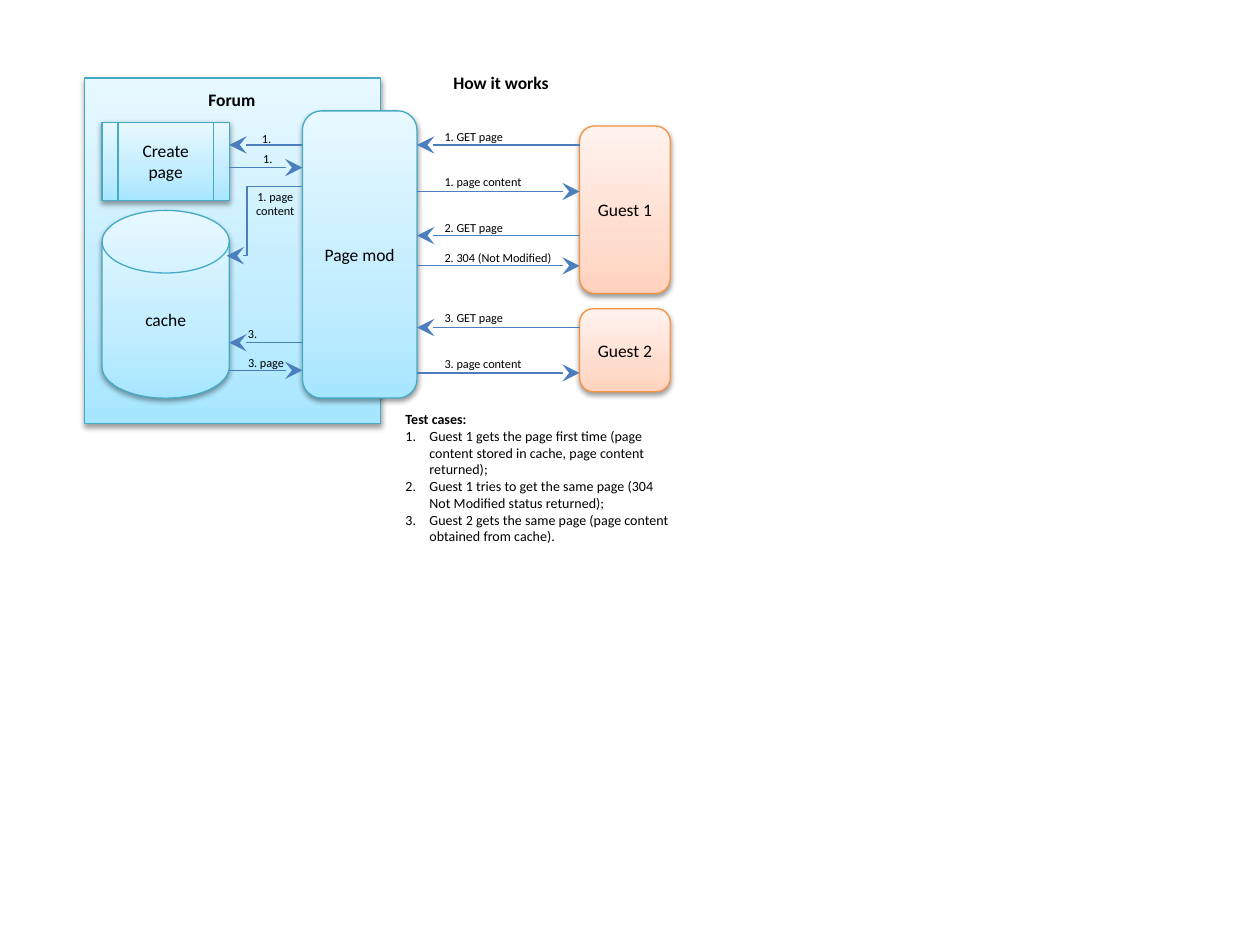
from copy import deepcopy
from dataclasses import dataclass

from lxml import etree
from pptx import Presentation
from pptx.dml.color import RGBColor
from pptx.enum import shapes as kinds, text as txt
from pptx.oxml.ns import qn
from pptx.util import Inches, Pt


@dataclass(frozen=True)
class Theme:
    font: str = "Calibri"
    ink: str = "000000"
    arrow: str = "4B7EBC"
    blue: tuple = ("46AAC5", "A7E6FF", "C1EDFF", "E7F8FF")
    orange: tuple = ("F69240", "FFD2BD", "FFDED0", "FFF2ED")
    stops: tuple = (0, 0.35, 1)
    line: float = 0.75
    title: int = 10
    body: int = 8
    label: int = 7


THEME = Theme()
SHAPE = kinds.MSO_SHAPE
CENTER, LEFT = txt.PP_ALIGN.CENTER, txt.PP_ALIGN.LEFT


def add_xml(parent, tag, **attributes):
    return etree.SubElement(parent, qn(tag), attributes)


def style_paragraph(paragraph, size, align, bold=False):
    paragraph.alignment = align
    font = paragraph.font
    font.name, font.size, font.bold = THEME.font, Pt(size), bold
    font.color.rgb = RGBColor.from_string(THEME.ink)


def add_node(slide, kind, box, palette, caption=""):
    """Shape with an upward gradient, a soft shadow and a centred caption."""
    node = slide.shapes.add_shape(kind, *map(Inches, box))
    edge, *tints = palette
    node.fill.gradient()
    node.fill.gradient_angle = 90
    properties = node._element.spPr
    stop_list = properties.find(".//" + qn("a:gsLst"))
    stop_list.append(deepcopy(stop_list[0]))
    for stop, position, tint in zip(node.fill.gradient_stops, THEME.stops, tints):
        stop.position = position
        stop.color.rgb = RGBColor.from_string(tint)
    node.line.color.rgb = RGBColor.from_string(edge)
    node.line.width = Pt(THEME.line)

    node.shadow.inherit = False
    shadow = add_xml(properties.find(qn("a:effectLst")), "a:outerShdw",
                     blurRad=str(Pt(3.1)), dist=str(Pt(1.6)),
                     dir="5400000", rotWithShape="0")
    add_xml(add_xml(shadow, "a:srgbClr", val="000000"), "a:alpha", val="38000")

    frame = node.text_frame
    frame.vertical_anchor = txt.MSO_ANCHOR.MIDDLE
    frame.text = caption
    style_paragraph(frame.paragraphs[0], THEME.title, CENTER)


def add_text(slide, box, lines, size, align=LEFT, bold=False):
    holder = slide.shapes.add_textbox(*map(Inches, box))
    frame = holder.text_frame
    frame.word_wrap = True
    frame.auto_size = txt.MSO_AUTO_SIZE.SHAPE_TO_FIT_TEXT
    frame.text = "\n".join(lines)
    for paragraph in frame.paragraphs:
        style_paragraph(paragraph, size, align, bold)
    return frame


def add_arrow(slide, start, end, bend=None):
    """Arrow from start to end; bend is the share of the width before an elbow."""
    kind = kinds.MSO_CONNECTOR.STRAIGHT if bend is None else kinds.MSO_CONNECTOR.ELBOW
    arrow = slide.shapes.add_connector(kind, *map(Inches, (*start, *end)))
    arrow.line.color.rgb = RGBColor.from_string(THEME.arrow)
    arrow.line.width = Pt(THEME.line)
    properties = arrow._element.spPr
    add_xml(properties.find(qn("a:ln")), "a:tailEnd", type="stealth", w="lg", len="lg")
    add_xml(properties, "a:effectLst")
    if bend is not None:
        adjustments = properties.find(qn("a:prstGeom")).get_or_add_avLst()
        add_xml(adjustments, "a:gd", name="adj1", fmla=f"val {round(bend * 100000)}")


def draw_forum(slide, box):
    """Forum panel with its page creator and cache."""
    left, top, width, _ = box
    add_node(slide, SHAPE.RECTANGLE, box, THEME.blue)
    add_text(slide, (left + 0.33, top + 0.04, width - 0.67, 0.27), ["Forum"],
             THEME.title, CENTER, bold=True)
    part_left, part_width = left + 0.14, 1.01
    add_node(slide, SHAPE.FLOWCHART_MAGNETIC_DISK,
             (part_left, top + 1.05, part_width, 1.49), THEME.blue, "cache")
    add_node(slide, SHAPE.FLOWCHART_PREDEFINED_PROCESS,
             (part_left, top + 0.35, part_width, 0.62), THEME.blue, "Create page")


def draw_guests(slide, box):
    left, top, width, height = box
    gap, second = 0.12, 0.66
    first = height - gap - second
    for caption, y, h in (("Guest 1", top, first),
                          ("Guest 2", top + first + gap, second)):
        add_node(slide, SHAPE.ROUNDED_RECTANGLE, (left, y, width, h),
                 THEME.orange, caption)


def draw_forum_calls(slide, box):
    """Arrows between the forum parts and the mod."""
    left, top, width, _ = box
    right = left + width
    calls = (  # arrow y, points left, caption, caption x, y and width, alignment
        (0, True, "1.", 0.02, -0.16, 0.55, CENTER),
        (0.18, False, "1.", 0.01, 0, 0.59, CENTER),
        (1.57, True, "3.", 0.05, 1.39, 0.47, LEFT),
        (1.79, False, "3. page", 0.05, 1.62, 0.55, LEFT),
    )
    for y, inward, caption, text_x, text_y, text_width, align in calls:
        ends = (left, top + y), (right, top + y)
        add_arrow(slide, *(reversed(ends) if inward else ends))
        add_text(slide, (left + text_x, top + text_y, text_width, 0.22),
                 [caption], THEME.label, align)
    add_arrow(slide, (right, top + 0.33), (left - 0.02, top + 0.88), bend=0.73)
    add_text(slide, (left + 0.1, top + 0.3, 0.53, 0.34), ["1. page content"],
             THEME.label, CENTER)


def draw_guest_calls(slide, box):
    """Requests and replies between the mod and the guests."""
    left, top, width, _ = box
    calls = (  # arrow y, caption y, caption
        (0, -0.17, "1. GET page"),
        (0.37, 0.18, "1. page content"),
        (0.72, 0.55, "2. GET page"),
        (0.96, 0.79, "2. 304 (Not Modified)"),
        (1.45, 1.26, "3. GET page"),
        (1.81, 1.63, "3. page content"),
    )
    for y, text_y, caption in calls:
        ends = (left, top + y), (left + width, top + y)
        add_arrow(slide, *(reversed(ends) if "GET" in caption else ends))
        add_text(slide, (left + 0.12, top + text_y, 1.18, 0.22), [caption], THEME.label)


def draw_test_cases(slide, box):
    frame = add_text(slide, box, (
        "Test cases:",
        "Guest 1 gets the page first time (page content stored in cache, "
        "page content returned);",
        "Guest 1 tries to get the same page (304 Not Modified status returned);",
        "Guest 2 gets the same page (page content obtained from cache).",
    ), THEME.body)
    heading, *cases = frame.paragraphs
    heading.font.bold = True
    for case in cases:
        properties = case._p.get_or_add_pPr()
        properties.set("marL", str(Inches(0.19)))
        properties.set("indent", str(-Inches(0.19)))
        numbering = etree.Element(qn("a:buAutoNum"), type="arabicPeriod")
        properties.insert(0, numbering)


def main():
    deck = Presentation()
    deck.slide_width, deck.slide_height = Inches(10), Inches(7.5)
    slide = deck.slides.add_slide(deck.slide_layouts[6])
    draw_forum(slide, (0.67, 0.62, 2.35, 2.74))
    draw_guests(slide, (4.6, 1, 0.72, 2.11))
    add_node(slide, SHAPE.FLOWCHART_ALTERNATE_PROCESS, (2.4, 0.88, 0.91, 2.28),
             THEME.blue, "Page mod")
    draw_forum_calls(slide, (1.82, 1.15, 0.58, 1.79))
    draw_guest_calls(slide, (3.31, 1.15, 1.29, 1.81))
    draw_test_cases(slide, (3.12, 3.21, 2.3, 1.18))
    add_text(slide, (3.5, 0.52, 2.21, 0.27), ["How it works"], THEME.title, bold=True)
    deck.save("out.pptx")


if __name__ == "__main__":
    main()
